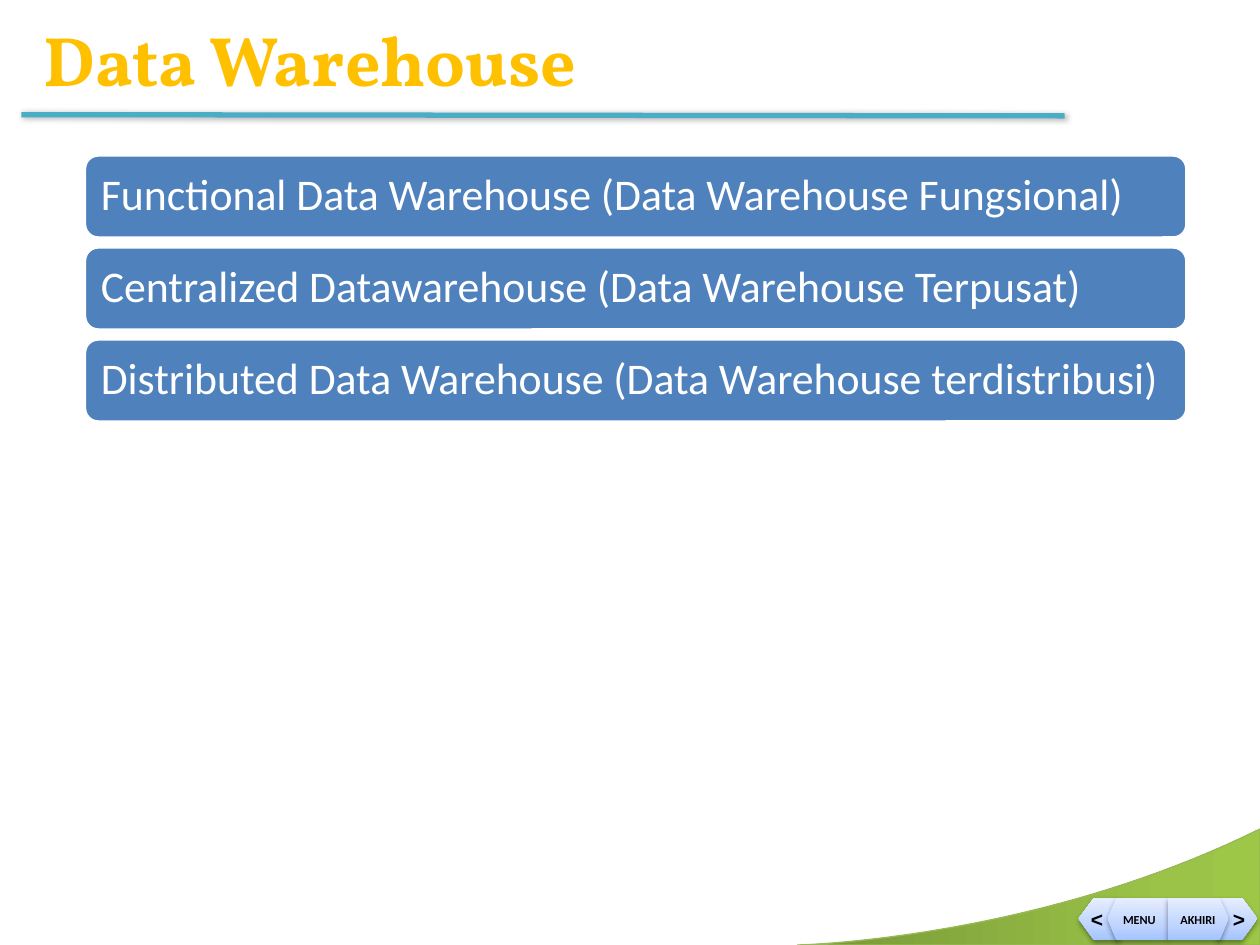
"""Build the data warehouse types slide with its navigation buttons."""
from lxml.etree import SubElement
from pptx import Presentation
from pptx.dml.color import RGBColor
from pptx.enum.shapes import MSO_CONNECTOR as Connector, MSO_SHAPE as Preset
from pptx.enum.text import MSO_ANCHOR as Anchor, PP_ALIGN as Align
from pptx.oxml.ns import qn
from pptx.util import Inches, Pt

WHITE = RGBColor(0xFF, 0xFF, 0xFF)
BLACK = RGBColor(0, 0, 0)
GOLD = RGBColor(0xFF, 0xC0, 0x00)
TEAL = RGBColor(0x4B, 0xAC, 0xC6)
BLUE = RGBColor(0x4F, 0x81, 0xBD)
LEAF = RGBColor(0x98, 0xB9, 0x55)
GREENS = [(0, RGBColor(0x77, 0x97, 0x37)), (80, RGBColor(0x9B, 0xC3, 0x48)),
          (100, RGBColor(0x9D, 0xC7, 0x46))]
ICE = [(0, RGBColor(0xA4, 0xC4, 0xFF)), (35, RGBColor(0xBF, 0xD4, 0xFF)),
       (100, RGBColor(0xE6, 0xEE, 0xFF))]


class Deck:
    """Hold the current slide and draw its elements in one style."""

    def __init__(self, slide):
        self.shapes = slide.shapes

    def shadow(self, shape, opacity, distance, angle):
        properties = shape._element.spPr
        for old in properties.findall(qn("a:effectLst")):
            properties.remove(old)
        effects = SubElement(properties, qn("a:effectLst"))
        outer = SubElement(effects, qn("a:outerShdw"), blurRad=str(Pt(3.1)),
                           dist=str(Pt(distance)), dir=str(angle * 60000),
                           rotWithShape="0")
        color = SubElement(outer, qn("a:srgbClr"), val=str(BLACK))
        SubElement(color, qn("a:alpha"), val=str(opacity * 1000))

    def label(self, shape, text, size, color, font="Calibri", bold=False,
              align=Align.LEFT, anchor=Anchor.MIDDLE):
        frame = shape.text_frame
        frame.word_wrap = True
        frame.vertical_anchor = anchor
        paragraph = frame.paragraphs[0]
        paragraph.text = text
        paragraph.alignment = align
        paragraph.font.name = font
        paragraph.font.size = Pt(size)
        paragraph.font.bold = bold
        paragraph.font.color.rgb = color
        return paragraph

    def outline(self, points, stops, angle):
        corners = [(Inches(x), Inches(y)) for x, y in points]
        builder = self.shapes.build_freeform(*corners[0], scale=1.0)
        builder.add_line_segments(corners[1:], close=True)
        shape = builder.convert_to_shape()
        shape.fill.gradient()
        shape.fill.gradient_angle = angle
        stop_list = next(shape._element.spPr.iter(qn("a:gsLst")))
        for old in list(stop_list):
            stop_list.remove(old)
        for position, color in stops:
            stop = SubElement(stop_list, qn("a:gs"), pos=str(position * 1000))
            SubElement(stop, qn("a:srgbClr"), val=str(color))
        return shape

    def swoosh(self, start, bend, pull, end, steps=40):
        curve = []
        for step in range(steps + 1):
            t = step / steps
            weights = ((1 - t) ** 3, 3 * t * (1 - t) ** 2,
                       3 * t * t * (1 - t), t ** 3)
            curve.append([sum(w * p[axis] for w, p in
                              zip(weights, (start, bend, pull, end)))
                          for axis in (0, 1)])
        shape = self.outline(curve + [(end[0], start[1])], GREENS, 0)
        shape.line.color.rgb = LEAF
        shape.line.width = Pt(0.75)
        self.shadow(shape, 35, 1.8, 90)

    def button(self, points, text, size, font, align):
        shape = self.outline(points, ICE, 90)
        shape.line.fill.background()
        self.shadow(shape, 38, 1.6, 90)
        self.label(shape, text, size, BLACK, font, True, align)
        if align == Align.LEFT:
            shape.text_frame.margin_right = 0
        else:
            shape.text_frame.margin_left = 0

    def rule(self, x1, y1, x2, y2):
        line = self.shapes.add_connector(
            Connector.STRAIGHT, Inches(x1), Inches(y1), Inches(x2), Inches(y2))
        line.line.color.rgb = TEAL
        line.line.width = Pt(3)
        self.shadow(line, 35, 1, 34)

    def title(self, text, x, y, width, height):
        box = self.shapes.add_textbox(
            Inches(x), Inches(y), Inches(width), Inches(height))
        self.label(box, text, 40, GOLD, "Vollkorn", True, anchor=Anchor.TOP)

    def bar(self, text, x, y, width, height):
        shape = self.shapes.add_shape(
            Preset.ROUNDED_RECTANGLE, Inches(x), Inches(y),
            Inches(width), Inches(height))
        shape.shadow.inherit = False
        shape.fill.solid()
        shape.fill.fore_color.rgb = BLUE
        shape.line.color.rgb = WHITE
        shape.line.width = Pt(2)
        self.label(shape, text, 25, WHITE).line_spacing = 0.9


def mirrored(points, axis=9.27):
    return [(2 * axis - x, y) for x, y in points]


presentation = Presentation()
presentation.slide_width = Inches(10)
presentation.slide_height = Inches(7.5)
deck = Deck(presentation.slides.add_slide(presentation.slide_layouts[6]))

deck.swoosh((6.33, 7.5), (6.38, 7.5), (8.24, 7.45), (10, 6.58))

TOP, MIDDLE, BOTTOM = 7.13, 7.29, 7.46
arrow = [(8.89, TOP), (8.68, TOP), (8.56, MIDDLE), (8.68, BOTTOM),
         (8.89, BOTTOM), (8.82, MIDDLE)]
tab = [(9.27, TOP), (8.86, TOP), (8.79, MIDDLE), (8.86, BOTTOM),
       (9.27, BOTTOM)]
for points, text, size, font, align in (
        (arrow, "<", 12, "Arial", Align.LEFT),
        (mirrored(arrow), ">", 12, "Arial", Align.RIGHT),
        (tab, "MENU", 7, "Calibri", Align.RIGHT),
        (mirrored(tab), "AKHIRI", 7, "Calibri", Align.LEFT)):
    deck.button(points, text, size, font, align)

deck.rule(0.17, 0.91, 8.45, 0.92)
deck.title("Data Warehouse", 0.25, 0.08, 7.25, 0.76)

warehouse_types = (
    "Functional Data Warehouse (Data Warehouse Fungsional)",
    "Centralized Datawarehouse (Data Warehouse Terpusat)",
    "Distributed Data Warehouse (Data Warehouse terdistribusi)",
)
BAR_HEIGHT, BAR_GAP = 0.66, 0.07
for row, warehouse_type in enumerate(warehouse_types):
    deck.bar(warehouse_type, 0.67, 1.23 + row * (BAR_HEIGHT + BAR_GAP),
             8.75, BAR_HEIGHT)

presentation.save("out.pptx")
